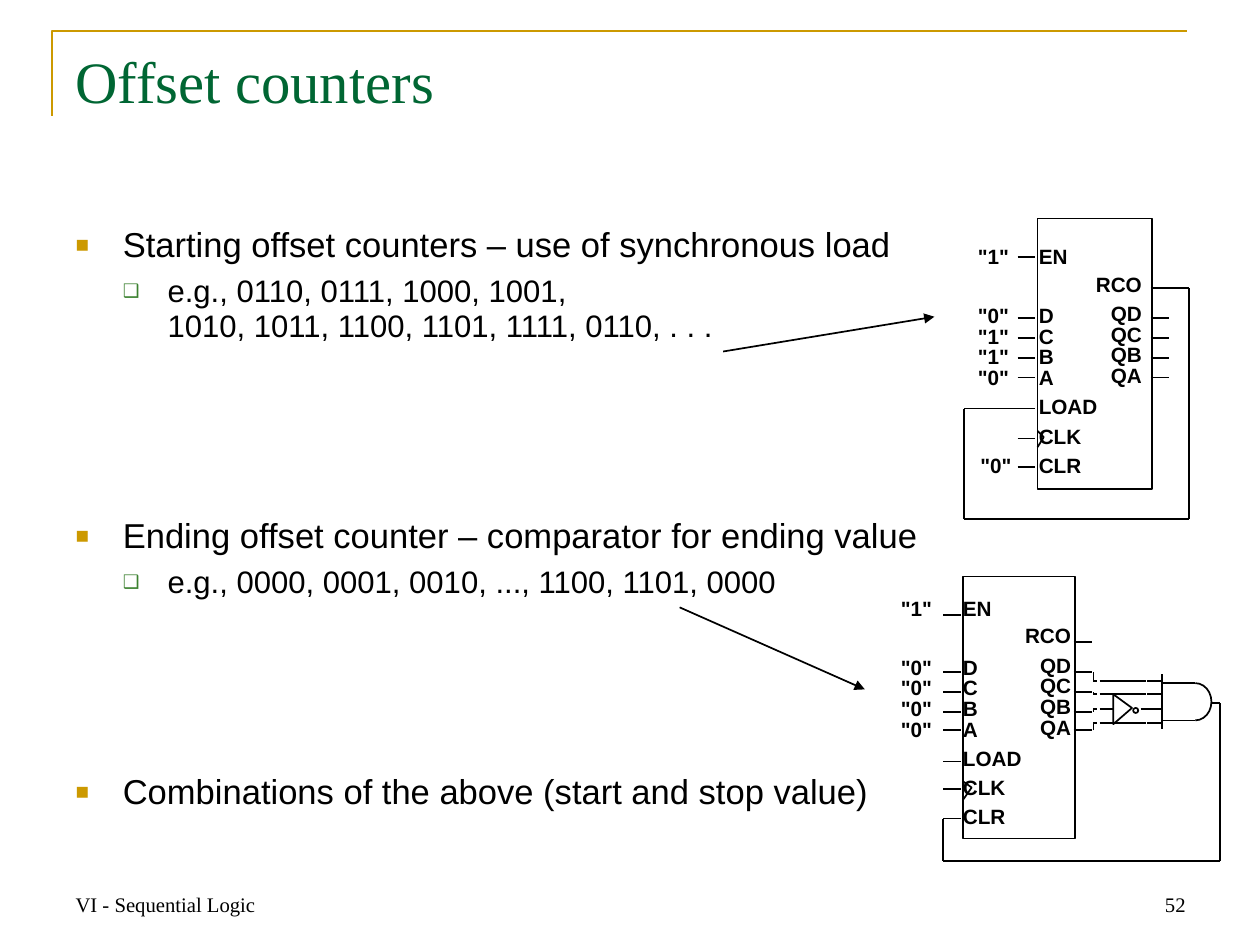
from itertools import pairwise

from lxml.etree import SubElement
from pptx import Presentation
from pptx.dml.color import RGBColor
from pptx.enum.shapes import MSO_CONNECTOR, MSO_SHAPE
from pptx.enum.text import MSO_ANCHOR, PP_ALIGN
from pptx.oxml.ns import qn
from pptx.util import Emu, Pt

EMU_PER_PX = 9144
COLORS = {
    "ink": "000000",
    "title": "006633",
    "gold": "CC9900",
    "green": "3B812F",
}


def px(value):
    """Turn px, a hundred to the inch, into EMU."""
    return Emu(value * EMU_PER_PX)


def color(name):
    """Look up a named colour."""
    return RGBColor.from_string(COLORS[name])


class SlideBuilder:
    """Draw styled elements on the current slide."""

    def __init__(self, slide):
        self.slide = slide
        self.shapes = slide.shapes

    def style_outline(self, shape, line_color="ink", width=1):
        """Give a shape a plain outline without fill or shadow."""
        shape.shadow.inherit = False
        shape.fill.background()
        shape.line.color.rgb = color(line_color)
        shape.line.width = Pt(width)
        return shape

    def outline(self, preset, left, top, width, height):
        """Add an unfilled preset shape."""
        shape = self.shapes.add_shape(preset, px(left), px(top), px(width), px(height))
        return self.style_outline(shape)

    def polyline(self, points, closed=False, line_color="ink", width=1):
        """Add an outline through the given points."""
        builder = self.shapes.build_freeform(*points[0], scale=EMU_PER_PX)
        builder.add_line_segments(points[1:], close=closed)
        return self.style_outline(builder.convert_to_shape(), line_color, width)

    def wire(self, *points, arrow=False):
        """Join consecutive points with lines, with an optional arrowhead at the start."""
        for start, end in pairwise(points):
            connector = self.shapes.add_connector(
                MSO_CONNECTOR.STRAIGHT, *map(px, start + end))
            connector.line.color.rgb = color("ink")
            connector.line.width = Pt(1)
            if arrow:
                SubElement(connector.line._get_or_add_ln(), qn("a:headEnd"), type="triangle")
            SubElement(connector._element.spPr, qn("a:effectLst"))

    def text_frame(self, left, top, width, height, inset=(10, 5), anchor=MSO_ANCHOR.TOP):
        """Add a wrapping text box and return its frame."""
        frame = self.shapes.add_textbox(px(left), px(top), px(width), px(height)).text_frame
        frame.word_wrap = True
        frame.vertical_anchor = anchor
        frame.margin_left = frame.margin_right = px(inset[0])
        frame.margin_top = frame.margin_bottom = px(inset[1])
        return frame

    def add_runs(self, paragraph, lines, size, font="Arial", font_color="ink", bold=False):
        """Add one run per line, parted by line breaks."""
        for index, line in enumerate(lines):
            if index:
                paragraph.add_line_break()
            run = paragraph.add_run()
            run.text = line
            run.font.size = Pt(size)
            run.font.name = font
            run.font.bold = bold
            run.font.color.rgb = color(font_color)

    def heading(self, text, left, top, width, height, size, font_color="ink",
                anchor=MSO_ANCHOR.TOP, align=PP_ALIGN.LEFT):
        """Add a single serif line."""
        paragraph = self.text_frame(left, top, width, height, anchor=anchor).paragraphs[0]
        paragraph.alignment = align
        self.add_runs(paragraph, [text], size, "Times New Roman", font_color)

    def pin_labels(self, groups, left, top, width, height, align=PP_ALIGN.LEFT):
        """Add bold labels from (lines, space after) groups."""
        frame = self.text_frame(left, top, width, height, inset=(2, 3))
        for index, (lines, space_after) in enumerate(groups):
            paragraph = frame.add_paragraph() if index else frame.paragraphs[0]
            paragraph.alignment = align
            paragraph.line_spacing = Pt(12)
            paragraph.space_after = Pt(space_after)
            self.add_runs(paragraph, lines, 12, bold=True)

    def bullets(self, items, left, top, width, height):
        """Add a two-level list from (level, space before, lines) items."""
        styles = [("■", "gold", 65, 38, 38, 20), ("❑", "green", 60, 74, 36, 18)]
        frame = self.text_frame(left, top, width, height)
        for index, (level, space_before, lines) in enumerate(items):
            symbol, symbol_color, percent, margin, hanging, size = styles[level]
            paragraph = frame.add_paragraph() if index else frame.paragraphs[0]
            paragraph.level = level
            paragraph.line_spacing = 0.95
            if space_before:
                paragraph.space_before = Pt(space_before)
            properties = paragraph._p.get_or_add_pPr()
            properties.set("marL", str(px(margin)))
            properties.set("indent", str(-px(hanging)))
            bullet_color = SubElement(properties, qn("a:buClr"))
            SubElement(bullet_color, qn("a:srgbClr"), val=COLORS[symbol_color])
            SubElement(properties, qn("a:buSzPct"), val=str(percent * 1000))
            SubElement(properties, qn("a:buFont"), typeface="Arial")
            SubElement(properties, qn("a:buChar"), char=symbol)
            self.add_runs(paragraph, lines, size)

    def counter(self, body, label_left, label_top, output_right, value_left,
                values, left_pins, right_pins, wedge):
        """Add a counter chip with its labels, pins and clock wedge."""
        left, _, width, _ = body
        self.outline(MSO_SHAPE.RECTANGLE, *body)
        self.polyline(wedge)
        for y in left_pins:
            self.wire((left - 16, y), (left - 2, y))
        for y in right_pins:
            self.wire((left + width - 1, y), (left + width + 14, y))
        inputs = [(["EN"], 22), (["D", "C", "B", "A"], 5),
                  (["LOAD"], 5), (["CLK"], 5), (["CLR"], 5)]
        outputs = [(["RCO"], 5), (["QD", "QC", "QB", "QA"], 5)]
        self.pin_labels(inputs, label_left, label_top, 110, 206)
        self.pin_labels(outputs, output_right - 110, label_top + 22, 110, 111, PP_ALIGN.RIGHT)
        self.pin_labels([(['"1"'], 22), (values, 5)], value_left, label_top, 50, 158)


def draw_starting_counter(builder):
    """Draw the counter that reloads its starting value."""
    builder.counter(
        (835, 176, 92, 218), 834, 197, 921, 785, ['"0"', '"1"', '"1"', '"0"'],
        [207, 256, 272, 288, 304, 329, 353, 376], [232, 256, 272, 288, 304],
        [(835, 347), (840, 352), (835, 360)])
    builder.pin_labels([(['"0"'], 7)], 787, 365, 62, 40)
    builder.wire((941, 232), (957, 232), (957, 418), (776, 418), (776, 329), (825, 329))


def draw_ending_counter(builder):
    """Draw the counter cleared by a comparator gate."""
    output_pins = [541, 557, 573, 588]
    gate_inputs = [548, 559, 571, 582]
    inverted_input = 571
    builder.counter(
        (775, 464, 90, 211), 773, 480, 864, 723, ['"0"'] * 4,
        [495, *output_pins, 613, 635, 659], [517, *output_pins],
        [(775, 629), (782, 634), (775, 644)])
    for pin, gate_input in zip(output_pins, gate_inputs):
        builder.wire((880, pin), (880, gate_input), (883, gate_input))
        spans = [(885, 896), (918, 935)] if gate_input == inverted_input else [(885, 922), (923, 935)]
        for start, end in spans:
            builder.wire((start, gate_input), (end, gate_input))
    builder.polyline([(896, 559), (911, 570), (896, 583)], closed=True)
    builder.outline(MSO_SHAPE.OVAL, 912, 570, 4, 4)
    builder.wire((935, 543), (935, 587))
    for y in (550, 580):
        builder.wire((935, y), (962, y))
    gate_arc = builder.outline(MSO_SHAPE.ARC, 949, 550, 26, 30)
    gate_arc.adjustments[0] = 162
    gate_arc.adjustments[1] = 54
    builder.wire((975, 566), (982, 566), (982, 693), (759, 693), (759, 659))


def main():
    """Build the slide and save it."""
    presentation = Presentation()
    presentation.slide_width, presentation.slide_height = px(1014), px(760)
    builder = SlideBuilder(presentation.slides.add_slide(presentation.slide_layouts[6]))
    builder.polyline([(42, 93), (42, 25), (955, 25)], line_color="gold", width=1.5)
    builder.heading("VI - Sequential Logic", 51, 692, 237, 51, 12, anchor=MSO_ANCHOR.BOTTOM)
    builder.heading("52", 727, 692, 237, 51, 12, anchor=MSO_ANCHOR.BOTTOM, align=PP_ALIGN.RIGHT)
    draw_ending_counter(builder)
    draw_starting_counter(builder)
    builder.wire((752, 255), (582, 283), arrow=True)
    builder.wire((696, 555), (547, 489), arrow=True)
    builder.heading("Offset counters", 51, 31, 912, 126, 34, "title")
    builder.bullets([
        (0, 0, ["Starting offset counters – use of synchronous load"]),
        (1, 5, ["e.g., 0110, 0111, 1000, 1001,", "1010, 1011, 1100, 1101, 1111, 0110, . . ."]),
        (0, 100, ["Ending offset counter – comparator for ending value"]),
        (1, 5, ["e.g., 0000, 0001, 0010, ..., 1100, 1101, 0000"]),
        (0, 100, ["Combinations of the above (start and stop value)"]),
    ], 51, 177, 912, 502)
    presentation.save("out.pptx")


if __name__ == "__main__":
    main()
